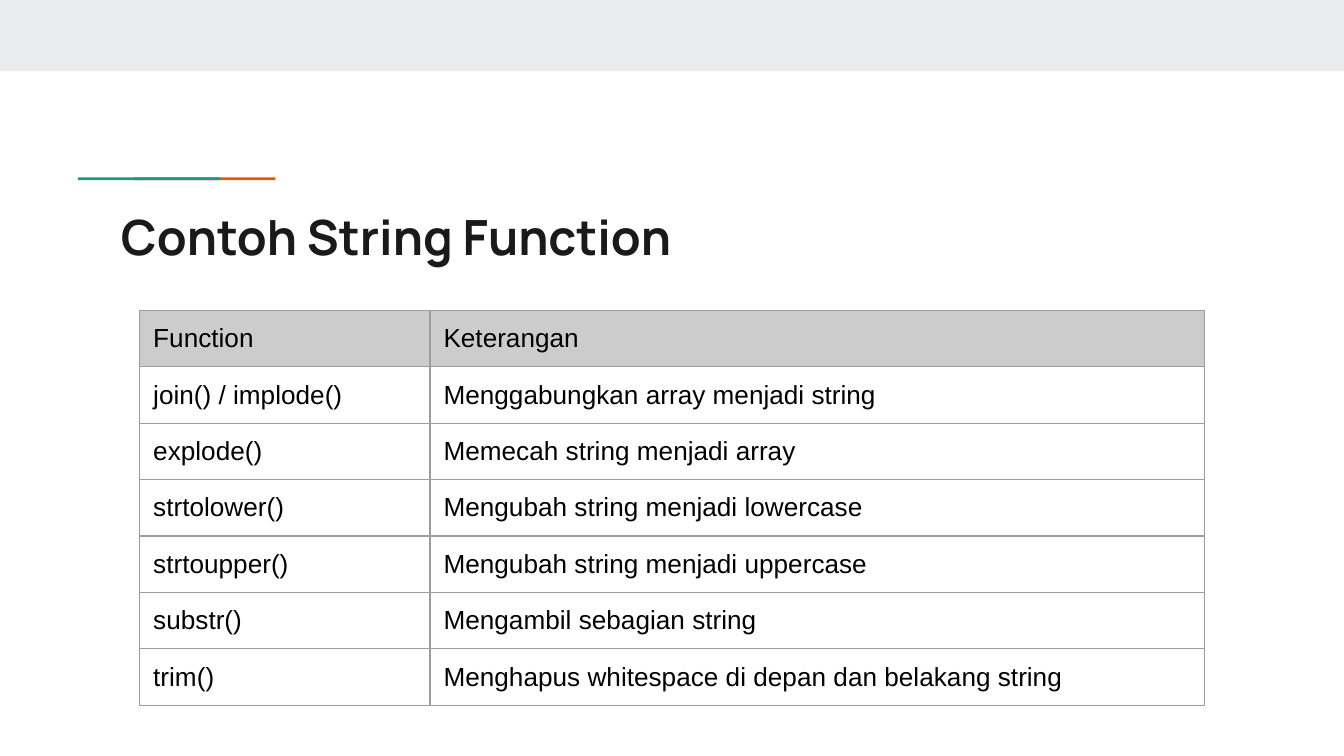
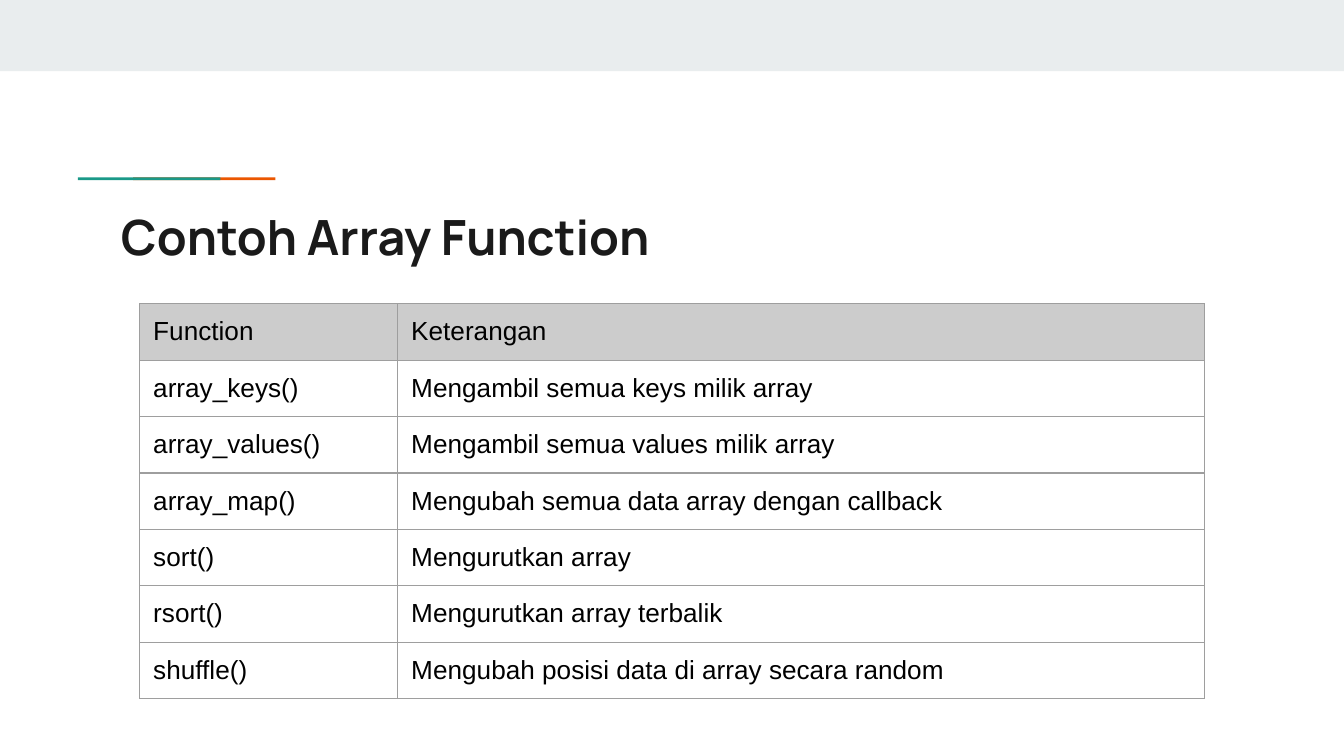
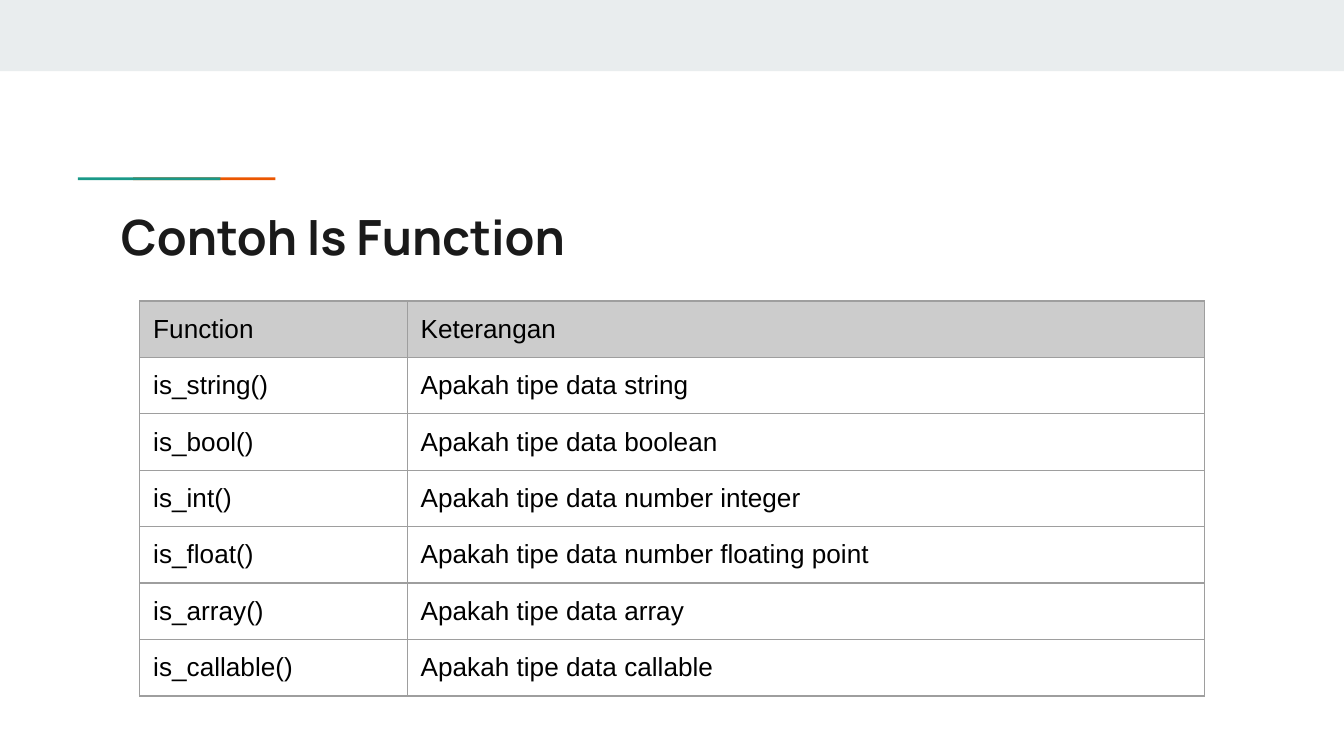
import pptx
import pptx.util
import pptx.dml.color
import pptx.enum.shapes
import pptx.enum.text
import pptx.oxml.ns
import lxml.etree

Inches = pptx.util.Inches
Pt = pptx.util.Pt
RGB = pptx.dml.color.RGBColor.from_string
qn = pptx.oxml.ns.qn

hues = {
    "band": "E9EDEE", "green": "1A9988", "orange": "EB5600",
    "title": "1A1A1A", "text": "000000", "head": "CCCCCC", "rule": "9E9E9E",
}
fonts = {
    "title": {"name": "Manrope", "size": Pt(26), "bold": True},
    "text": {"name": "Arial", "size": Pt(14), "bold": False},
}
pad = {side: Inches(0.1) for side in
       ("margin_left", "margin_right", "margin_top", "margin_bottom")}
wide = 7.92
high = 0.42

# Title, table top, width of first column, rows
pages = [
    ("Contoh String Function", 2.31, 2.16, [
        ("join() / implode()", "Menggabungkan array menjadi string"),
        ("explode()", "Memecah string menjadi array"),
        ("strtolower()", "Mengubah string menjadi lowercase"),
        ("strtoupper()", "Mengubah string menjadi uppercase"),
        ("substr()", "Mengambil sebagian string"),
        ("trim()", "Menghapus whitespace di depan dan belakang string"),
    ]),
    ("Contoh Array Function", 2.26, 1.92, [
        ("array_keys()", "Mengambil semua keys milik array"),
        ("array_values()", "Mengambil semua values milik array"),
        ("array_map()", "Mengubah semua data array dengan callback"),
        ("sort()", "Mengurutkan array"),
        ("rsort()", "Mengurutkan array terbalik"),
        ("shuffle()", "Mengubah posisi data di array secara random"),
    ]),
    ("Contoh Is Function", 2.24, 1.99, [
        ("is_string()", "Apakah tipe data string"),
        ("is_bool()", "Apakah tipe data boolean"),
        ("is_int()", "Apakah tipe data number integer"),
        ("is_float()", "Apakah tipe data number floating point"),
        ("is_array()", "Apakah tipe data array"),
        ("is_callable()", "Apakah tipe data callable"),
    ]),
]


def write(frame, text, kind):
    """Put one styled line of text in a frame."""
    frame.text = text
    font = frame.paragraphs[0].runs[0].font
    for key, value in fonts[kind].items():
        setattr(font, key, value)
    font.color.rgb = RGB(hues[kind])


def edge(cell):
    """Draw the four borders of a cell."""
    props = cell._tc.get_or_add_tcPr()
    for side in ("lnL", "lnR", "lnT", "lnB"):
        line = lxml.etree.SubElement(props, qn("a:" + side), w=str(Pt(0.75)))
        fill = lxml.etree.SubElement(line, qn("a:solidFill"))
        lxml.etree.SubElement(fill, qn("a:srgbClr"), val=hues["rule"])


# Widescreen deck, 16 to 9
deck = pptx.Presentation()
deck.slide_width = Inches(10)
deck.slide_height = Inches(10) * 9 // 16
layout = deck.slide_layouts[5]
slides = [deck.slides.add_slide(layout) for page in pages]

# Band and two-colour rule, shared through the layout
bars = [
    ("band", 0, 0, 10, 0.53),
    ("orange", 0.99, 1.32, 1.06, 0.02),
    ("green", 0.58, 1.32, 1.06, 0.02),
]
for spot, (hue, *box) in enumerate(bars, 2):
    bar = slides[0].shapes.add_shape(
        pptx.enum.shapes.MSO_SHAPE.RECTANGLE, *map(Inches, box))
    bar.shadow.inherit = False
    bar.fill.solid()
    bar.fill.fore_color.rgb = RGB(hues[hue])
    bar.line.fill.background()
    layout.shapes.element.insert(spot, bar.element)

for slide, (name, top, first, rows) in zip(slides, pages):
    # Title
    title = slide.shapes.title
    place = {"left": 0.8, "top": 1.44, "width": 8.41, "height": 0.59}
    for key, value in place.items():
        setattr(title, key, Inches(value))
    frame = title.text_frame
    style = {**pad, "word_wrap": True,
             "auto_size": pptx.enum.text.MSO_AUTO_SIZE.NONE,
             "vertical_anchor": pptx.enum.text.MSO_ANCHOR.TOP}
    for key, value in style.items():
        setattr(frame, key, value)
    write(frame, name, "title")
    frame.paragraphs[0].alignment = pptx.enum.text.PP_ALIGN.LEFT

    # Table
    rows = [("Function", "Keterangan"), *rows]
    table = slide.shapes.add_table(
        len(rows), 2, Inches(1.04), Inches(top),
        Inches(wide), Inches(high * len(rows))).table
    table.first_row = table.horz_banding = False
    for col, width in zip(table.columns, (first, wide - first)):
        col.width = Inches(width)
    for r, row in enumerate(rows):
        table.rows[r].height = Inches(high)
        for c, text in enumerate(row):
            cell = table.cell(r, c)
            for key, value in pad.items():
                setattr(cell, key, value)
            write(cell.text_frame, text, "text")
            edge(cell)
            if r == 0:
                cell.fill.solid()
                cell.fill.fore_color.rgb = RGB(hues["head"])
            else:
                cell.fill.background()

deck.save("out.pptx")
